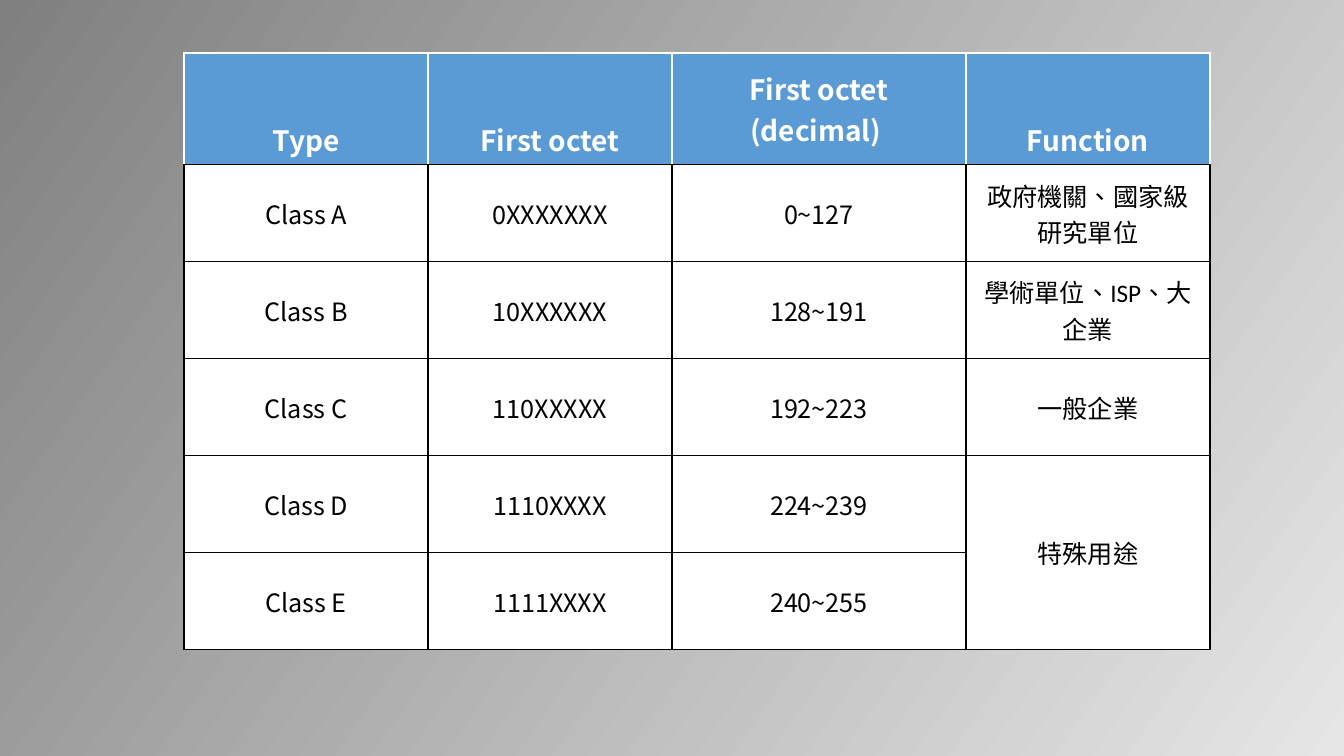
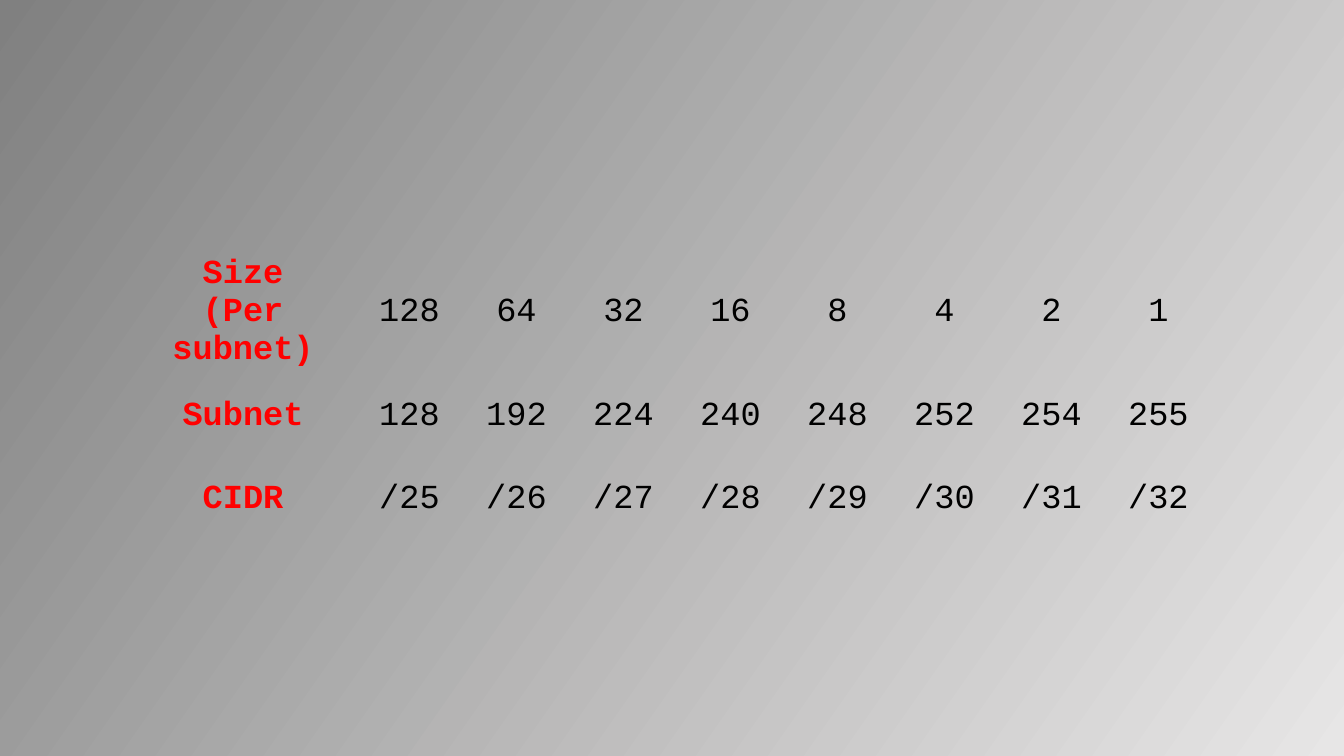
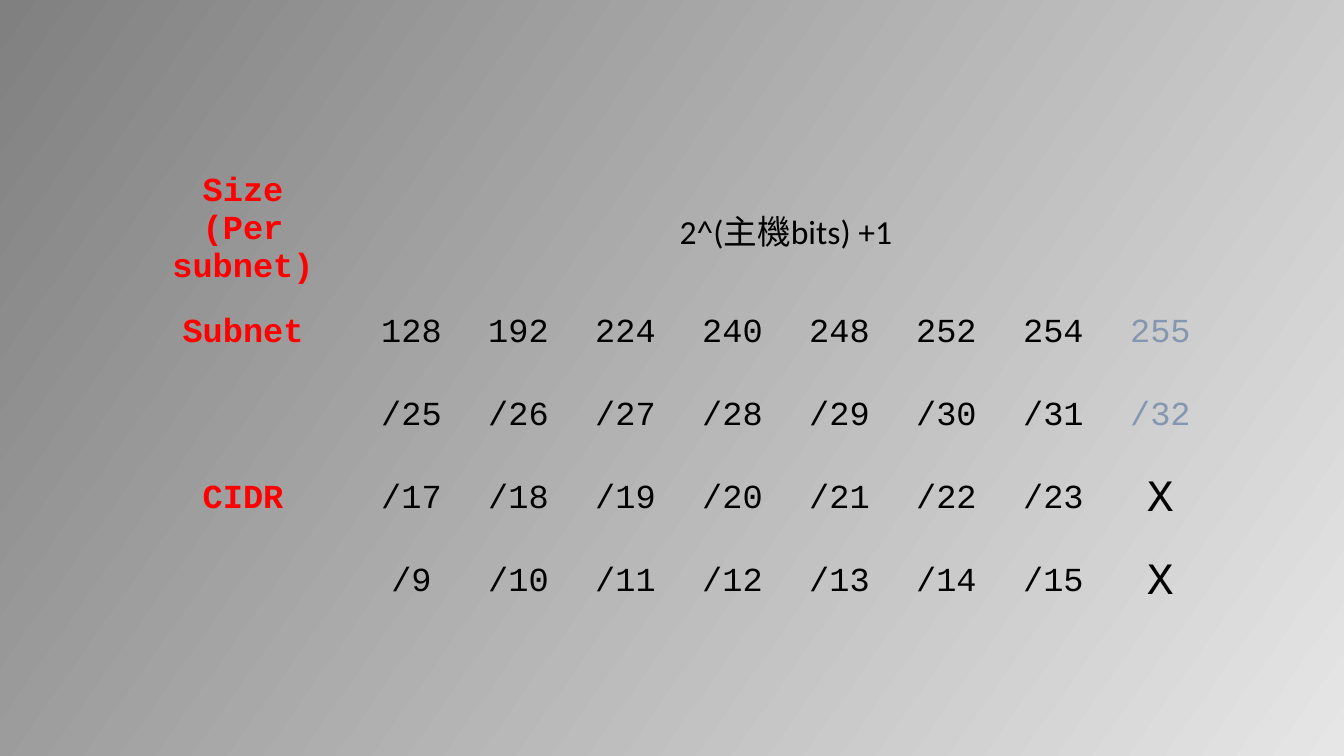
from lxml.etree import SubElement
from pptx import Presentation
from pptx.dml.color import RGBColor
from pptx.enum.lang import MSO_LANGUAGE_ID as Lang
from pptx.enum.text import MSO_ANCHOR as Anchor, PP_ALIGN as Align
from pptx.oxml.ns import qn
from pptx.util import Emu, Pt

SLIDE_PX = (1344, 756)
EMU_PER_PX = 12192000 / SLIDE_PX[0]
NO_STYLE_NO_GRID = "{2D5ABB26-0587-4C30-8999-92F81FD0307C}"
CJK_FONT = "Noto Sans CJK SC"

COLORS = {
    "dark": "808080", "light": "E7E6E6", "header": "5B9BD5", "white": "FFFFFF",
    "black": "000000", "label": "FF0000", "muted": "8497B0",
}

# Each format: font attributes, then text colour
FORMATS = {
    "header": ({"name": CJK_FONT, "size": Pt(20), "bold": True}, "white"),
    "class": ({"name": CJK_FONT, "size": Pt(18), "bold": False}, "black"),
    "function": ({"name": "Calibri", "size": Pt(18), "bold": False}, "black"),
    "label": ({"name": "Courier New", "size": Pt(24), "bold": True}, "label"),
    "value": ({"name": "Courier New", "size": Pt(24), "bold": False}, "black"),
    "muted": ({"name": "Courier New", "size": Pt(24), "bold": False}, "muted"),
    "unused": ({"name": "Courier New", "size": Pt(32), "bold": False}, "black"),
    "formula": ({"name": "Calibri", "size": Pt(24), "bold": False}, "black"),
}

SIZE_LABEL = "Size\n(Per subnet)"
SUBNETS = ["128", "192", "224", "240", "248", "252", "254", "255"]
LAST_OCTET_CIDR = ["/25", "/26", "/27", "/28", "/29", "/30", "/31", "/32"]

# A None cell is covered by a merge; merges are (first cell, last cell)
CLASSES = {
    "at": (184, 53),
    "columns": [244, 244, 294, 244],
    "row_heights": [104] + [97] * 5,
    "merges": [((4, 3), (5, 3))],
    "rows": [
        ["Type", "First octet", "First octet\n(decimal) ", "Function"],
        ["Class A", "0XXXXXXX", "0~127", "政府機關、國家級研究單位"],
        ["Class B", "10XXXXXX", "128~191", "學術單位、ISP、大企業"],
        ["Class C", "110XXXXX", "192~223", "一般企業"],
        ["Class D", "1110XXXX", "224~239", "特殊用途"],
        ["Class E", "1111XXXX", "240~255", None],
    ],
}
LAST_OCTET = {
    "at": (130, 250),
    "columns": [226] + [107] * 8,
    "row_heights": [83] * 3,
    "merges": [],
    "rows": [
        [SIZE_LABEL, "128", "64", "32", "16", "8", "4", "2", "1"],
        ["Subnet", *SUBNETS],
        ["CIDR", *LAST_OCTET_CIDR],
    ],
}
ALL_OCTETS = {
    "at": (128, 168),
    "columns": [230] + [107] * 8,
    "row_heights": [83] * 5,
    "merges": [((0, 1), (0, 8)), ((2, 0), (4, 0))],
    "rows": [
        [SIZE_LABEL, "2^(主機bits) +1"] + [None] * 7,
        ["Subnet", *SUBNETS],
        ["CIDR", *LAST_OCTET_CIDR],
        [None, "/17", "/18", "/19", "/20", "/21", "/22", "/23", "X"],
        [None, "/9", "/10", "/11", "/12", "/13", "/14", "/15", "X"],
    ],
}


def px(length):
    return Emu(round(length * EMU_PER_PX))


def rgb(color):
    return RGBColor.from_string(COLORS[color])


def paint_background(master):
    fill = master.background.fill
    fill.gradient()
    fill.gradient_angle = 360 - 35
    for stop, color, position in zip(fill.gradient_stops, ("dark", "light"), (0, 1)):
        stop.color.rgb = rgb(color)
        stop.position = position


def write_cell(cell, text, format_name):
    attributes, color = FORMATS[format_name]
    cell.vertical_anchor = Anchor.MIDDLE
    cell.text = text
    for paragraph in cell.text_frame.paragraphs:
        paragraph.alignment = Align.CENTER
        for run in paragraph.runs:
            for attribute, value in attributes.items():
                setattr(run.font, attribute, value)
            run.font.color.rgb = rgb(color)
            if not run.text.isascii():
                run.font.language_id = Lang.TRADITIONAL_CHINESE
                SubElement(run.font._element, qn("a:ea"), typeface=CJK_FONT)


def draw_borders(cell, side_colors):
    properties = cell._tc.get_or_add_tcPr()
    for side, color in zip("LRTB", side_colors):
        line = SubElement(properties, qn(f"a:ln{side}"), w=str(Pt(1)))
        solid = SubElement(line, qn("a:solidFill"))
        SubElement(solid, qn("a:srgbClr"), val=COLORS[color])


def add_grid(slide, content, format_for):
    """Add a plain table; format_for(row, column, text) names each cell's format."""
    columns, heights = content["columns"], content["row_heights"]
    frame = slide.shapes.add_table(
        len(heights), len(columns),
        *map(px, (*content["at"], sum(columns), sum(heights))))
    table = frame.table
    table.first_row = table.horz_banding = False
    for style in frame.element.iter(qn("a:tableStyleId")):
        style.text = NO_STYLE_NO_GRID
    for column, width in zip(table.columns, columns):
        column.width = px(width)
    for row, height in zip(table.rows, heights):
        row.height = px(height)
    for first, last in content["merges"]:
        table.cell(*first).merge(table.cell(*last))
    for r, texts in enumerate(content["rows"]):
        for c, text in enumerate(texts):
            cell = table.cell(r, c)
            cell.fill.background()
            if text is not None:
                write_cell(cell, text, format_for(r, c, text))
    return table


def class_format(row, column, text):
    if row == 0:
        return "header"
    return "function" if column == 3 else "class"


def subnet_format(row, column, text):
    if column == 0:
        return "label"
    return "unused" if text == "X" else "value"


def octets_format(row, column, text):
    if row == 0 and column == 1:
        return "formula"
    if text in ("255", "/32"):
        return "muted"
    return subnet_format(row, column, text)


def add_class_table(slide):
    table = add_grid(slide, CLASSES, class_format)
    for r, row in enumerate(table.rows):
        for cell in row.cells:
            cell._tc.get_or_add_tcPr().clear()
            cell.vertical_anchor = Anchor.MIDDLE
            edge = "black" if r else "white"
            draw_borders(cell, (edge, edge, edge, "black"))
            cell.fill.solid()
            cell.fill.fore_color.rgb = rgb("white" if r else "header")
    for heading in table.rows[0].cells:
        paragraphs = heading.text_frame.paragraphs
        if len(paragraphs) == 1:
            paragraphs[0].line_spacing = 2.5


def main():
    prs = Presentation()
    prs.slide_width, prs.slide_height = map(px, SLIDE_PX)
    paint_background(prs.slide_master)
    blank = prs.slide_layouts[6]
    add_class_table(prs.slides.add_slide(blank))
    add_grid(prs.slides.add_slide(blank), LAST_OCTET, subnet_format)
    add_grid(prs.slides.add_slide(blank), ALL_OCTETS, octets_format)
    prs.save("out.pptx")


if __name__ == "__main__":
    main()
